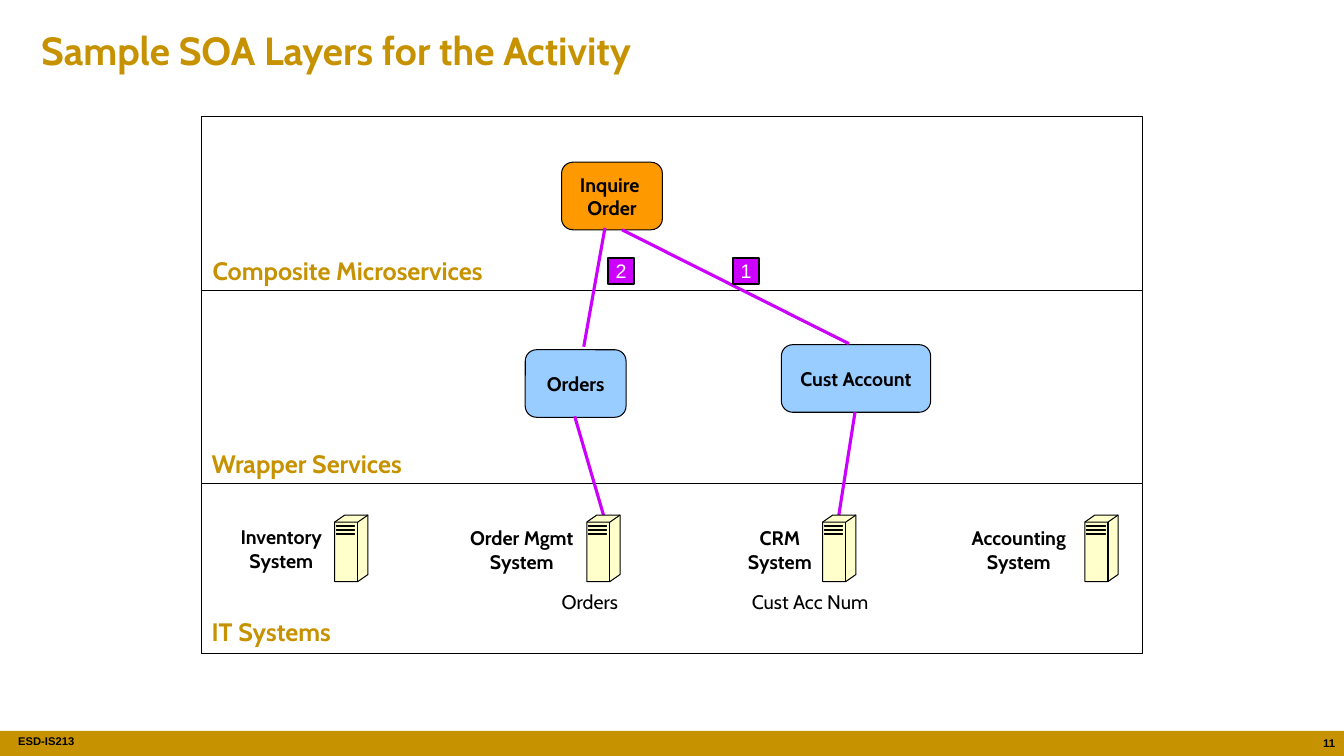
from lxml.etree import SubElement
from pptx import Presentation
from pptx.dml.color import RGBColor
from pptx.enum.shapes import MSO_CONNECTOR, MSO_SHAPE
from pptx.enum.text import MSO_ANCHOR, MSO_AUTO_SIZE, PP_ALIGN
from pptx.oxml.ns import qn
from pptx.util import Inches, Pt

RECTANGLE = MSO_SHAPE.RECTANGLE
ROUNDED = MSO_SHAPE.FLOWCHART_ALTERNATE_PROCESS
STRAIGHT = MSO_CONNECTOR.STRAIGHT
LEFT, CENTER, RIGHT = PP_ALIGN.LEFT, PP_ALIGN.CENTER, PP_ALIGN.RIGHT
TOP, MIDDLE = MSO_ANCHOR.TOP, MSO_ANCHOR.MIDDLE
GROW, FIXED = MSO_AUTO_SIZE.SHAPE_TO_FIT_TEXT, MSO_AUTO_SIZE.NONE

CELL = Inches(0.01)
COLUMNS, ROWS = 1333, 750
LAYER_LEFT, LAYER_WIDTH = 200, 933
SYSTEM_ROW = 511

COLORS = {
    "gold": "C69200",
    "black": "000000",
    "white": "FFFFFF",
    "blue": "99CCFF",
    "orange": "FF9900",
    "purple": "CC00FF",
    "cream": "FFFFCC",
}

TITLE = {"size": 28, "name": "Cabin", "bold": True, "color": "gold"}
LAYER = {**TITLE, "size": 18}
LABEL = {**TITLE, "size": 14, "color": "black"}
DATA = {**LABEL, "bold": False}
FOOTER = {**LABEL, "size": 8, "name": "Arial"}
STEP = {"size": 14, "name": "Arial", "bold": False, "color": "white"}

LAYERS = [
    ("Composite Microservices", 116, 172, (201, 248, 337, 40)),
    ("Wrapper Services", 288, 192, (200, 440, 243, 40)),
    ("IT Systems", 480, 168, (200, 607, 161, 40)),
]
SERVICES = [
    ("Cust Account", (775, 342, 148, 67), "blue"),
    ("Orders", (521, 347, 100, 67), "blue"),
    ("Inquire \nOrder", (557, 161, 100, 67), "orange"),
]
CALLS = [
    (570, 413, 600, 516),
    (848, 409, 832, 511),
    (600, 226, 579, 344),
    (617, 228, 842, 341),
]
SYSTEMS = [
    ("Inventory\nSystem", 332, (220, 516, 118, 57)),
    ("Order Mgmt\nSystem", 582, (448, 517, 139, 57)),
    ("CRM\nSystem", 816, (726, 517, 95, 57)),
    ("Accounting\nSystem", 1076, (945, 517, 131, 57)),
]
STEPS = [("1", 727), ("2", 603)]

SERVER_BODY = [(0, 7), (10, 0), (33, 0), (33, 59), (23, 66), (0, 66)]
SERVER_EDGES = [[(0, 7), (23, 7), (33, 0)], [(23, 7), (23, 66)]]
SLOT_ROWS = (10, 14, 18)


def cells(*lengths):
    return [length * CELL for length in lengths]


def color(name):
    return RGBColor.from_string(COLORS[name])


def paint(shape, fill, line, width):
    shape.shadow.inherit = False
    if fill:
        shape.fill.solid()
        shape.fill.fore_color.rgb = color(fill)
    else:
        shape.fill.background()
    if line:
        shape.line.color.rgb = color(line)
        shape.line.width = Pt(width)
    else:
        shape.line.fill.background()


def write(shape, text, style, align=LEFT, anchor=TOP, wrap=False, grow=False, insets=None):
    frame = shape.text_frame
    settings = {
        "word_wrap": wrap,
        "vertical_anchor": anchor,
        "auto_size": GROW if grow else FIXED,
    }
    if insets:
        sides = ("margin_left", "margin_top", "margin_right", "margin_bottom")
        settings.update(zip(sides, cells(*insets)))
    for name, value in settings.items():
        setattr(frame, name, value)
    for index, line in enumerate(text.split("\n")):
        para = frame.add_paragraph() if index else frame.paragraphs[0]
        para.alignment = align
        span = para.add_run()
        span.text = line
        values = {"size": Pt(style["size"]), "name": style["name"], "bold": style["bold"]}
        for name, value in values.items():
            setattr(span.font, name, value)
        span.font.color.rgb = color(style["color"])


def add_box(page, area, fill=None, line="black", width=0.75, kind=RECTANGLE):
    box = page.shapes.add_shape(kind, *cells(*area))
    paint(box, fill, line, width)
    return box


def add_text(page, area, text, style, **layout):
    write(page.shapes.add_textbox(*cells(*area)), text, style, **layout)


def add_call(page, ends):
    call = page.shapes.add_connector(STRAIGHT, *cells(*ends))
    call.line.color.rgb = color("purple")
    call.line.width = Pt(2.25)
    SubElement(call._element.spPr, qn("a:effectLst"))


def add_outline(page, origin, contours, closed, fill):
    first, *others = contours
    builder = page.shapes.build_freeform(*first[0], scale=CELL)
    builder.add_line_segments(first[1:], close=closed)
    for contour in others:
        builder.move_to(*contour[0])
        builder.add_line_segments(contour[1:], close=closed)
    paint(builder.convert_to_shape(*cells(*origin)), fill, "black", 0.75)


def add_server(page, left):
    origin = (left, SYSTEM_ROW)
    slots = [[(2, row), (20, row), (20, row + 1), (2, row + 1)] for row in SLOT_ROWS]
    add_outline(page, origin, [SERVER_BODY], True, "cream")
    add_outline(page, origin, SERVER_EDGES, False, None)
    add_outline(page, origin, slots, True, None)


def add_frame(page):
    add_box(page, (0, 725, COLUMNS, 25), "gold", None)
    add_text(page, (18, 724, 172, 25), "ESD-IS213", FOOTER, wrap=True, insets=(0, 5, 0, 5))
    add_text(page, (1295, 726, 39, 24), "11", FOOTER, align=RIGHT, wrap=True)
    add_text(page, (31, 21, 1272, 57), "Sample SOA Layers for the Activity", TITLE,
             anchor=MIDDLE, wrap=True, grow=True)


def main():
    deck = Presentation()
    deck.slide_width, deck.slide_height = cells(COLUMNS, ROWS)
    page = deck.slides.add_slide(deck.slide_layouts[6])
    add_frame(page)
    for name, top, height, area in LAYERS:
        add_box(page, (LAYER_LEFT, top, LAYER_WIDTH, height))
        add_text(page, area, name, LAYER, grow=True)
    for name, area, fill in SERVICES:
        service = add_box(page, area, fill, kind=ROUNDED)
        write(service, name, LABEL, align=CENTER, anchor=MIDDLE)
    for ends in CALLS:
        add_call(page, ends)
    for name, left, area in SYSTEMS:
        add_server(page, left)
        add_text(page, area, name, LABEL, align=CENTER, grow=True)
    add_text(page, (546, 580, 78, 34), "Orders", DATA, align=CENTER, grow=True)
    add_text(page, (726, 580, 155, 33), "Cust Acc Num", DATA, align=CENTER, wrap=True, grow=True)
    for number, left in STEPS:
        step = add_box(page, (left, 256, 26, 26), "purple", width=1.5)
        write(step, number, STEP, align=CENTER, anchor=MIDDLE, wrap=True, insets=(0, 0, 0, 0))
    deck.save("out.pptx")


if __name__ == "__main__":
    main()
